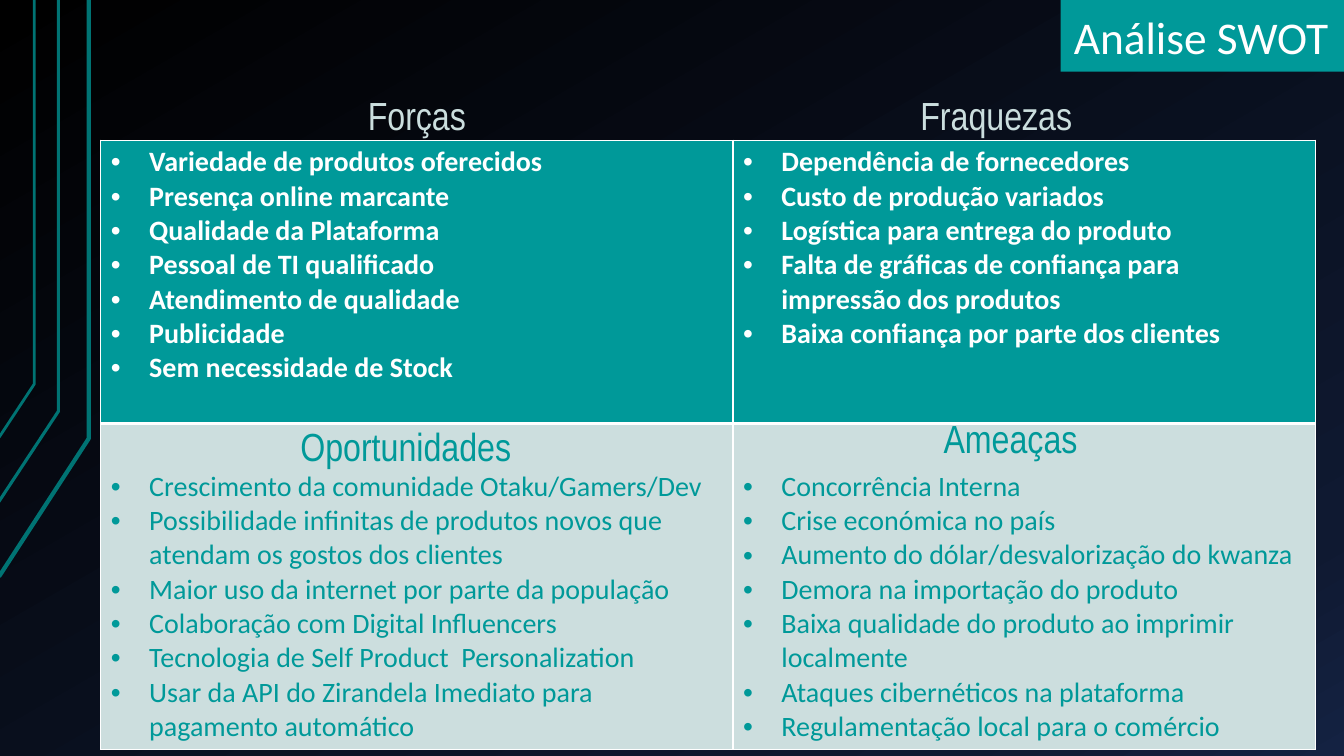
from copy import deepcopy

from lxml import etree
from pptx import Presentation
from pptx.dml.color import RGBColor
from pptx.enum.shapes import MSO_SHAPE
from pptx.enum.text import MSO_ANCHOR, PP_ALIGN
from pptx.oxml.ns import qn
from pptx.util import Inches, Pt

RECTANGLE = MSO_SHAPE.RECTANGLE
BOTTOM = MSO_ANCHOR.BOTTOM
LEFT = PP_ALIGN.LEFT

WHITE = RGBColor(0xFF, 0xFF, 0xFF)
TEAL = RGBColor(0x00, 0x99, 0x99)
DARK_TEAL = RGBColor(0x00, 0x73, 0x73)
PALE_TEAL = RGBColor(0xCC, 0xDE, 0xDE)
HEADING_PALE = RGBColor(0xCB, 0xDE, 0xDE)
BLACK = RGBColor(0x00, 0x00, 0x00)
NAVY = RGBColor(0x0F, 0x19, 0x31)
BLUE = RGBColor(0x14, 0x22, 0x42)

STRENGTHS = [
    "Variedade de produtos oferecidos",
    "Presença online marcante",
    "Qualidade da Plataforma",
    "Pessoal de TI qualificado",
    "Atendimento de qualidade",
    "Publicidade",
    "Sem necessidade de Stock",
]
WEAKNESSES = [
    "Dependência de fornecedores",
    "Custo de produção variados",
    "Logística para entrega do produto",
    "Falta de gráficas de confiança para impressão dos produtos",
    "Baixa confiança por parte dos clientes",
]
OPPORTUNITIES = [
    "Crescimento da comunidade Otaku/Gamers/Dev",
    "Possibilidade infinitas de produtos novos que atendam os gostos dos clientes",
    "Maior uso da internet por parte da população",
    "Colaboração com Digital Influencers",
    "Tecnologia de Self Product  Personalization",
    "Usar da API do Zirandela Imediato para pagamento automático",
]
THREATS = [
    "Concorrência Interna",
    "Crise económica no país",
    "Aumento do dólar/desvalorização do kwanza",
    "Demora na importação do produto",
    "Baixa qualidade do produto ao imprimir localmente",
    "Ataques cibernéticos na plataforma",
    "Regulamentação local para o comércio",
]


def style_text(para, font_name, size, color, bold=False):
    for span in para.runs:
        span.font.name = font_name
        span.font.size = Pt(size)
        span.font.bold = bold
        span.font.color.rgb = color


def add_border(cell, side, width):
    """Draw a white line on one side (L, R, T or B) of a cell."""
    properties = cell._tc.get_or_add_tcPr()
    line = etree.SubElement(properties, qn(f"a:ln{side}"), w=str(Pt(width)))
    fill = etree.SubElement(line, qn("a:solidFill"))
    etree.SubElement(fill, qn("a:srgbClr"), val=str(WHITE))


deck = Presentation()
deck.slide_width = Inches(13.33)
deck.slide_height = Inches(7.5)
page = deck.slides.add_slide(deck.slide_layouts[6])

# Background gradient
background = page.background.fill
background.gradient()
background.gradient_angle = 300
stop_list = page.element.find(".//" + qn("a:gsLst"))
stop_list.append(deepcopy(stop_list[-1]))
gradient = [(0, BLACK), (0.85, NAVY), (1, BLUE)]
for stop, (position, color) in zip(background.gradient_stops, gradient):
    stop.position = position
    stop.color.rgb = color

# Bent lines down the left edge: start x, start y, bend x, bend y, width
for start_x, start_y, bend_x, bend_y, width in [
    (-0.01, 5.72, 0.88, 4.35, 3),
    (-0.02, 4.99, 0.58, 4.08, 2.25),
    (-0.01, 4.34, 0.34, 3.81, 2),
]:
    builder = page.shapes.build_freeform(Inches(start_x), Inches(start_y))
    builder.add_line_segments(
        [(Inches(bend_x), Inches(bend_y)), (Inches(bend_x), 0)], close=False
    )
    bent_line = builder.convert_to_shape()
    bent_line.shadow.inherit = False
    bent_line.fill.background()
    bent_line.line.color.rgb = DARK_TEAL
    bent_line.line.width = Pt(width)

# Title
title = page.shapes.add_shape(RECTANGLE, Inches(10.52), 0, Inches(2.81), Inches(0.71))
title.shadow.inherit = False
title.fill.solid()
title.fill.fore_color.rgb = TEAL
title.line.fill.background()
frame = title.text_frame
frame.margin_left = frame.margin_right = Inches(0.13)
frame.margin_top = frame.margin_bottom = Inches(0.07)
frame.vertical_anchor = BOTTOM
frame.word_wrap = True
frame.text = "Análise SWOT"
para = frame.paragraphs[0]
para.alignment = LEFT
para.line_spacing = 0.9
style_text(para, "Calibri", 32.4, WHITE)

# SWOT table
table = page.shapes.add_table(
    2, 2, Inches(1), Inches(1.39), Inches(12.05), Inches(6.04)
).table
for column, width in zip(table.columns, (6.27, 5.78)):
    column.width = Inches(width)

# Row height, top margin, cell fill, text colour, bold, border widths, lists
rows = [
    (2.81, 0.05, TEAL, WHITE, True, {"L": 1, "R": 1, "T": 1, "B": 3},
     (STRENGTHS, WEAKNESSES)),
    (3.23, 0.46, PALE_TEAL, TEAL, False, {"L": 1, "R": 1, "T": 3, "B": 1},
     (OPPORTUNITIES, THREATS)),
]
for row, (height, top, fill, color, bold, borders, lists) in zip(table.rows, rows):
    row.height = Inches(height)
    for cell, items in zip(row.cells, lists):
        for side, width in borders.items():
            add_border(cell, side, width)
        cell.fill.solid()
        cell.fill.fore_color.rgb = fill
        cell.margin_top = Inches(top)
        cell.text_frame.text = "\n".join(items)
        for para in cell.text_frame.paragraphs:
            style_text(para, "Calibri", 20, color, bold)
            properties = para._p.get_or_add_pPr()
            properties.set("marL", str(Inches(0.38)))
            properties.set("indent", str(Inches(-0.38)))
            etree.SubElement(properties, qn("a:buFont"), typeface="Arial")
            etree.SubElement(properties, qn("a:buChar"), char="•")

# Quadrant headings
for text, left, top, width, color in [
    ("Oportunidades", 2.88, 4.14, 2.68, TEAL),
    ("Ameaças", 9.26, 4.06, 1.81, TEAL),
    ("Forças", 3.55, 0.86, 1.34, HEADING_PALE),
    ("Fraquezas", 9.03, 0.86, 2.05, HEADING_PALE),
]:
    box = page.shapes.add_textbox(
        Inches(left), Inches(top), Inches(width), Inches(0.57)
    )
    box.text_frame.word_wrap = True
    box.text_frame.text = text
    style_text(box.text_frame.paragraphs[0], "Arial Narrow", 28, color)

deck.save("out.pptx")
